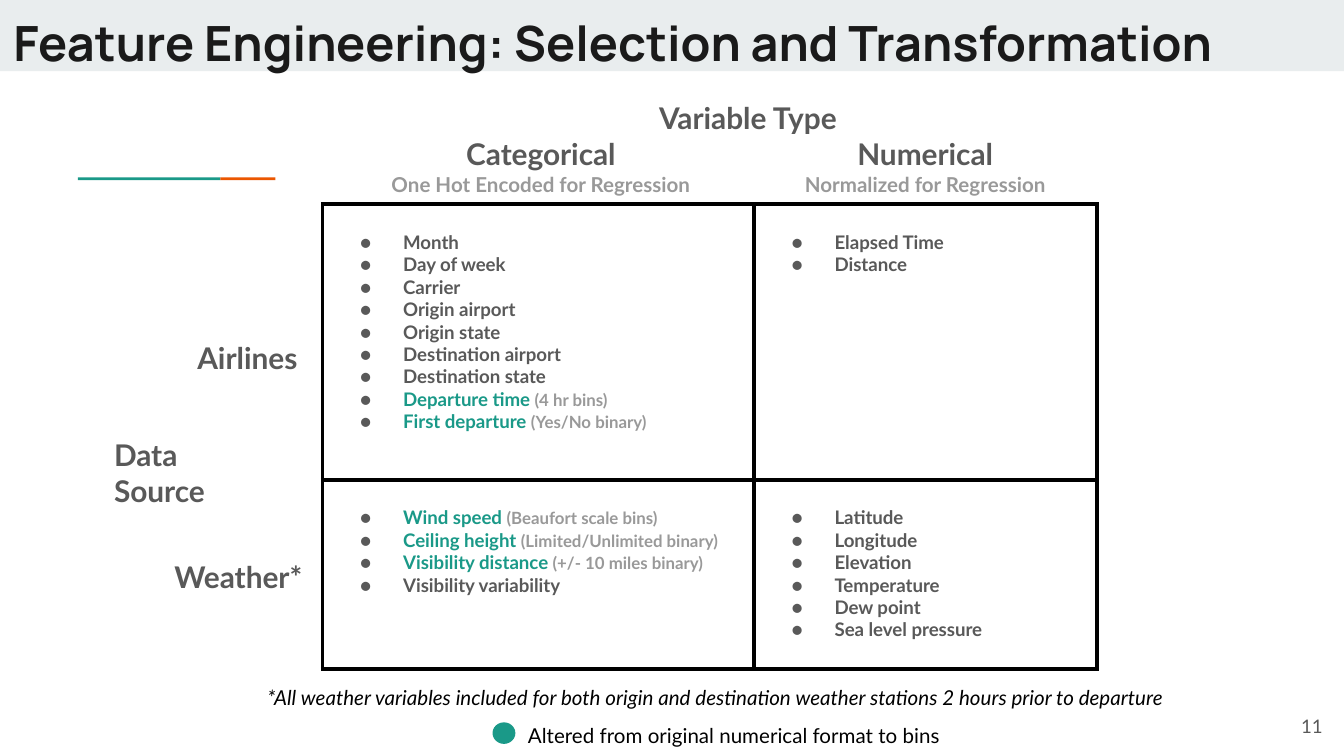
from lxml import etree
from pptx import Presentation
from pptx import util as u
from pptx.dml.color import RGBColor
from pptx.enum import shapes, text
from pptx.oxml.ns import qn

GREY, PALE, TEAL, BLACK = "595959", "999999", "1A9988", "000000"
LEFT, CENTER, RIGHT = text.PP_ALIGN.LEFT, text.PP_ALIGN.CENTER, text.PP_ALIGN.RIGHT


def color(value):
    return RGBColor.from_string(value)


def write(paragraph, words, size, tint, face="Lato", **style):
    run = paragraph.add_run()
    run.text = words
    run.font.color.rgb = color(tint)
    for key, value in {"size": u.Pt(size), "name": face, **style}.items():
        setattr(run.font, key, value)


deck = Presentation()
deck.slide_width, deck.slide_height = u.Inches(10), u.Inches(10 * 9 / 16)
slide = deck.slides.add_slide(deck.slide_layouts[5])

RECT, OVAL = shapes.MSO_SHAPE.RECTANGLE, shapes.MSO_SHAPE.OVAL
for kind, box, tint in [
    (RECT, (0, 0, 10, 0.53), "E9EDEE"),
    (RECT, (0.58, 1.32, 1.06, 0.02), TEAL),
    (RECT, (1.64, 1.32, 0.41, 0.02), "EB5600"),
    (OVAL, (3.67, 5.38, 0.16, 0.15), TEAL),
]:
    mark = slide.shapes.add_shape(kind, *map(u.Inches, box))
    mark.shadow.inherit = False
    mark.fill.solid()
    mark.fill.fore_color.rgb = color(tint)
    if kind == OVAL:
        mark.line.color.rgb = color(tint)
        mark.line.width = u.Pt(0.75)
    else:
        mark.line.fill.background()

heading = slide.shapes.title
for key, value in zip(("left", "top", "width", "height"), (0, 0, 9.25, 0.59)):
    setattr(heading, key, u.Inches(value))
frame = heading.text_frame
margins = {f"margin_{side}": u.Inches(0.1) for side in ("left", "right", "top", "bottom")}
frame_format = {**margins, "word_wrap": True, "auto_size": text.MSO_AUTO_SIZE.NONE,
                "vertical_anchor": text.MSO_ANCHOR.TOP}
for key, value in frame_format.items():
    setattr(frame, key, value)
frame.paragraphs[0].alignment = LEFT
write(frame.paragraphs[0], "Feature Engineering: Selection and Transformation",
      26, "1A1A1A", "Manrope", bold=True)
slide.shapes._spTree.append(heading._element)

variables = [
    [
        ["Month", "Day of week", "Carrier", "Origin airport", "Origin state",
         "Destination airport", "Destination state",
         ("Departure time ", "(4 hr bins)"), ("First departure ", "(Yes/No binary)")],
        ["Elapsed Time", "Distance"],
    ],
    [
        [("Wind speed ", "(Beaufort scale bins)"),
         ("Ceiling height ", "(Limited/Unlimited binary)"),
         ("Visibility distance ", "(+/- 10 miles binary)"), "Visibility variability"],
        ["Latitude", "Longitude", "Elevation", "Temperature", "Dew point",
         "Sea level pressure"],
    ],
]
widths, heights = (3.21, 2.55), (2.05, 1.41)
matrix = slide.shapes.add_table(2, 2, u.Inches(2.4), u.Inches(1.52),
                                u.Inches(sum(widths)), u.Inches(sum(heights))).table
matrix.first_row = matrix.horz_banding = False
for column, width in zip(matrix.columns, widths):
    column.width = u.Inches(width)
for row, height in zip(matrix.rows, heights):
    row.height = u.Inches(height)

for r, source in enumerate(variables):
    for c, names in enumerate(source):
        cell = matrix.cell(r, c)
        for key, value in {**margins, "margin_top": u.Inches(0.2)}.items():
            setattr(cell, key, value)
        cell.fill.background()
        edges = cell._tc.get_or_add_tcPr()
        for i, side in enumerate("LRTB"):
            edge = etree.Element(qn(f"a:ln{side}"), w=str(u.Pt(2.25)))
            paint = etree.SubElement(edge, qn("a:solidFill"))
            etree.SubElement(paint, qn("a:srgbClr"), val=BLACK)
            edges.insert(i, edge)
        for i, name in enumerate(names):
            item = cell.text_frame.paragraphs[0] if i == 0 else cell.text_frame.add_paragraph()
            layout = item._p.get_or_add_pPr()
            layout.set("marL", str(u.Inches(0.5)))
            layout.set("indent", str(u.Inches(-0.32)))
            tint = etree.SubElement(layout, qn("a:buClr"))
            etree.SubElement(tint, qn("a:srgbClr"), val=GREY)
            etree.SubElement(layout, qn("a:buSzPts"), val="1000")
            etree.SubElement(layout, qn("a:buFont"), typeface="Lato")
            etree.SubElement(layout, qn("a:buChar"), char="●")
            if isinstance(name, tuple):
                write(item, name[0], 10, TEAL, bold=True)
                write(item, name[1], 9, PALE, bold=True)
            else:
                write(item, name, 10, GREY, bold=True)

bold, italic = {"bold": True}, {"italic": True}
for box, align, lines in [
    ((5.7, 0.91, 2.37, 0.77), CENTER, [("Numerical", 16, GREY, bold),
                                       ("Normalized for Regression", 11, PALE, bold)]),
    ((1.37, 2.43, 1.08, 0.52), LEFT, [("Airlines", 16, GREY, bold)]),
    ((1.2, 4.06, 1.24, 0.52), LEFT, [("Weather*", 16, GREY, bold)]),
    ((2.53, 0.91, 2.99, 0.77), CENTER, [("Categorical", 16, GREY, bold),
                                        ("One Hot Encoded for Regression", 11, PALE, bold)]),
    ((0.75, 3.15, 1.08, 1), LEFT, [("Data", 16, GREY, bold), ("Source", 16, GREY, bold)]),
    ((4.01, 0.64, 3.11, 0.39), CENTER, [("Variable Type", 16, GREY, bold)]),
    ((9.34, 5.19, 0.6, 0.43), RIGHT, [("11", 10, GREY, {})]),
    ((3.83, 5.28, 3.29, 0.25), LEFT,
     [("Altered from original numerical format to bins", 11, BLACK, {})]),
    ((1.89, 5, 7.79, 0.25), LEFT,
     [("*All weather variables included for both origin and destination weather stations "
       "2 hours prior to departure", 11, BLACK, italic)]),
]:
    frame = slide.shapes.add_textbox(*map(u.Inches, box)).text_frame
    for key, value in frame_format.items():
        setattr(frame, key, value)
    if align == RIGHT:
        frame.vertical_anchor = text.MSO_ANCHOR.MIDDLE
    for i, (words, size, tint, style) in enumerate(lines):
        line = frame.paragraphs[0] if i == 0 else frame.add_paragraph()
        line.alignment = align
        write(line, words, size, tint, **style)

deck.save("out.pptx")
